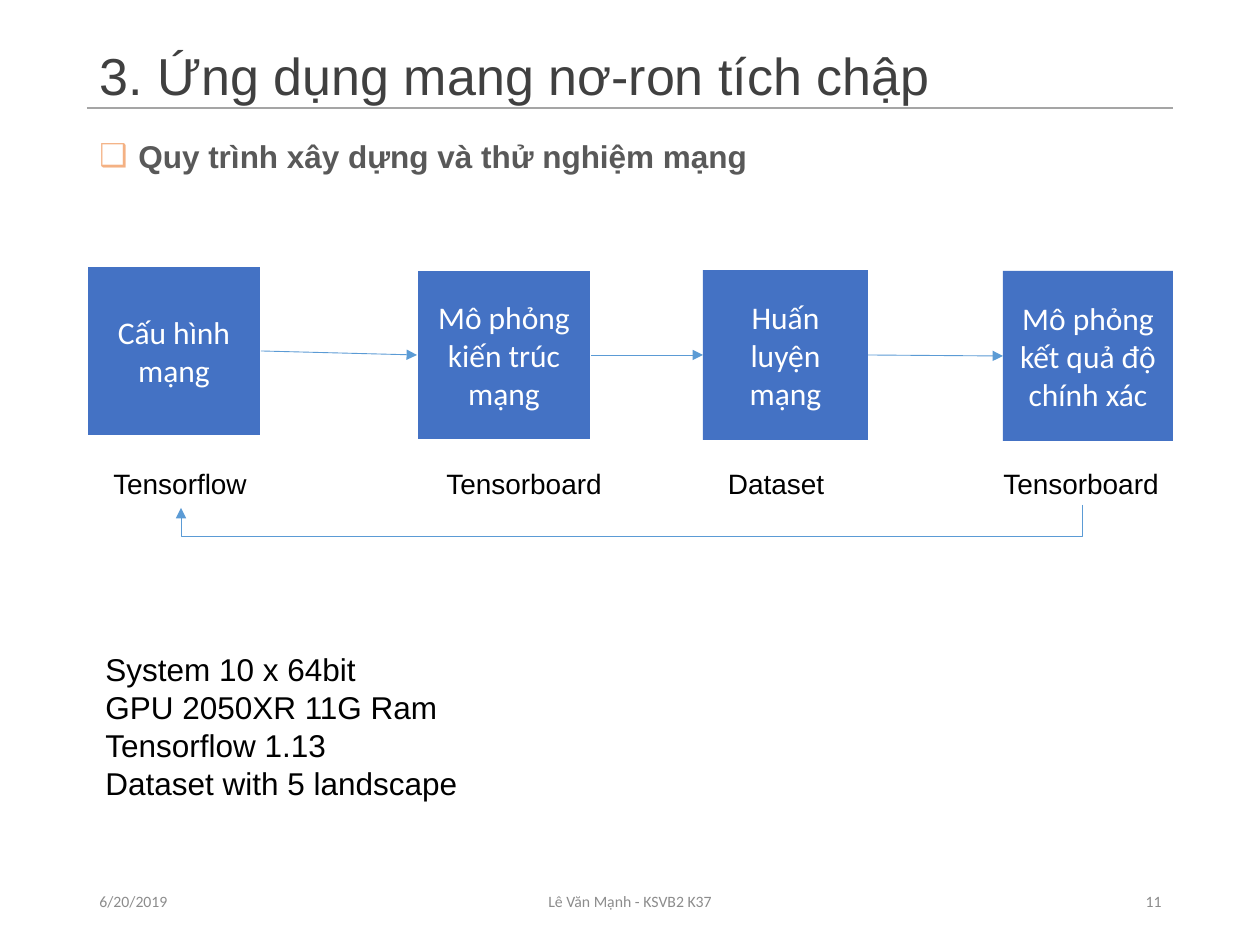
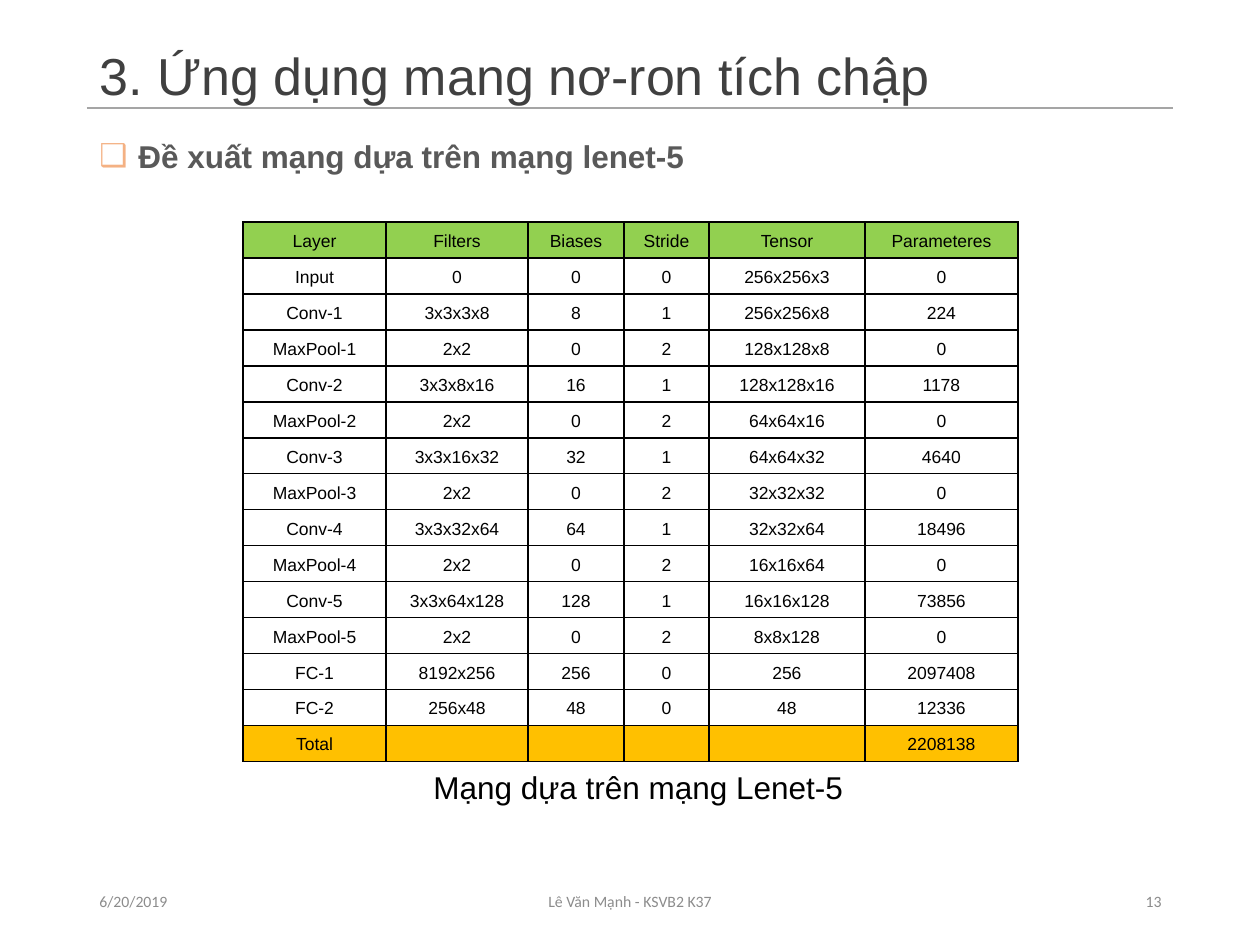
import pptx
import pptx.util
import pptx.dml.color
import pptx.enum.shapes
import pptx.enum.text
import pptx.oxml
import pptx.oxml.ns
from lxml import etree

EMU_PER_PX = 914400 / 126
COLORS = {
    "title": "404040", "rule": "A5A5A5", "footer": "8C8C8C",
    "heading": "595959", "bullet": "F4B183", "step": "4472C4",
    "arrow": "5B9BD5", "white": "FFFFFF", "black": "000000",
    "header_row": "92D050", "total_row": "FFC000",
}
TITLE = "3. Ứng dụng mang nơ-ron tích chập"
DATE = "6/20/2019"
AUTHOR = "Lê Văn Mạnh - KSVB2 K37"

ALIGN = pptx.enum.text.PP_ALIGN
MIDDLE = pptx.enum.text.MSO_ANCHOR.MIDDLE
CONNECTOR = pptx.enum.shapes.MSO_CONNECTOR
qn = pptx.oxml.ns.qn

# text, left, top, width, outlined
STEPS = [
    ("Cấu hình mạng", 87, 266, 174, True),
    ("Mô phỏng kiến trúc mạng", 417, 270, 174, True),
    ("Huấn luyện mạng", 703, 270, 165, False),
    ("Mô phỏng kết quả độ chính xác", 1003, 271, 170, False),
]
STEP_HEIGHT = 170
# text, left, width
TOOLS = [
    ("Tensorflow", 93, 174),
    ("Tensorboard", 432, 184),
    ("Dataset", 684, 184),
    ("Tensorboard", 989, 184),
]
ENVIRONMENT = [
    "System 10 x 64bit",
    "GPU 2050XR 11G Ram",
    "Tensorflow 1.13",
    "Dataset with 5 landscape",
]
COLUMN_WIDTHS = [143, 142, 96, 85, 156, 153]
LAYERS = [
    ("Layer", "Filters", "Biases", "Stride", "Tensor", "Parameteres"),
    ("Input", "0", "0", "0", "256x256x3", "0"),
    ("Conv-1", "3x3x3x8", "8", "1", "256x256x8", "224"),
    ("MaxPool-1", "2x2", "0", "2", "128x128x8", "0"),
    ("Conv-2", "3x3x8x16", "16", "1", "128x128x16", "1178"),
    ("MaxPool-2", "2x2", "0", "2", "64x64x16", "0"),
    ("Conv-3", "3x3x16x32", "32", "1", "64x64x32", "4640"),
    ("MaxPool-3", "2x2", "0", "2", "32x32x32", "0"),
    ("Conv-4", "3x3x32x64", "64", "1", "32x32x64", "18496"),
    ("MaxPool-4", "2x2", "0", "2", "16x16x64", "0"),
    ("Conv-5", "3x3x64x128", "128", "1", "16x16x128", "73856"),
    ("MaxPool-5", "2x2", "0", "2", "8x8x128", "0"),
    ("FC-1", "8192x256", "256", "0", "256", "2097408"),
    ("FC-2", "256x48", "48", "0", "48", "12336"),
    ("Total", "", "", "", "", "2208138"),
]


def px(length):
    return pptx.util.Emu(round(length * EMU_PER_PX))


def rgb(name):
    return pptx.dml.color.RGBColor.from_string(COLORS[name])


def add_span(para, text, size, color, font="Arial", bold=False):
    span = para.add_run()
    span.text = text
    span.font.name = font
    span.font.size = pptx.util.Pt(size)
    span.font.bold = bold
    span.font.color.rgb = rgb(color)


def add_text(page, area, lines, size, color, font="Arial", bold=False,
             align=ALIGN.LEFT, anchor=pptx.enum.text.MSO_ANCHOR.TOP, wrap=True):
    """Add a text box with one paragraph for each line; return its paragraphs."""
    frame = page.shapes.add_textbox(*map(px, area)).text_frame
    frame.word_wrap = wrap
    frame.vertical_anchor = anchor
    if not wrap:
        frame.auto_size = pptx.enum.text.MSO_AUTO_SIZE.SHAPE_TO_FIT_TEXT
    for index, line in enumerate(lines):
        para = frame.add_paragraph() if index else frame.paragraphs[0]
        para.alignment = align
        add_span(para, line, size, color, font, bold)
    return frame.paragraphs


def add_line(page, kind, start, end, color, width, arrow=False):
    line = page.shapes.add_connector(kind, *map(px, start + end))
    line.line.color.rgb = rgb(color)
    line.line.width = pptx.util.Pt(width)
    if arrow:
        etree.SubElement(line.line._get_or_add_ln(), qn("a:tailEnd"), type="triangle")
    etree.SubElement(line._element.spPr, qn("a:effectLst"))
    return line


def add_heading(page, text, width):
    para = add_text(page, (87, 131, width, 50), [text], 18, "heading",
                    bold=True, wrap=False)[0]
    properties = para._p.get_or_add_pPr()
    properties.set("marL", str(px(39)))
    properties.set("indent", str(-px(39)))
    bullet_color = etree.SubElement(properties, qn("a:buClr"))
    etree.SubElement(bullet_color, qn("a:srgbClr"), val=COLORS["bullet"])
    etree.SubElement(properties, qn("a:buFont"), typeface="Arial")
    etree.SubElement(properties, qn("a:buChar"), char="❑")


def add_page(deck, number, heading, heading_width):
    page = deck.slides.add_slide(deck.slide_layouts[6])
    title = add_text(page, (87, 50, 1086, 58), [TITLE], 29.7, "title", anchor=MIDDLE)
    title[0].line_spacing = 0.9
    add_line(page, CONNECTOR.STRAIGHT, (87, 108), (1173, 108), "rule", 1)
    for text, left, width, align in [(DATE, 87, 284, ALIGN.LEFT),
                                     (AUTHOR, 417, 426, ALIGN.CENTER),
                                     (number, 890, 284, ALIGN.RIGHT)]:
        add_text(page, (left, 876, width, 50), [text], 9, "footer", "Calibri",
                 align=align, anchor=MIDDLE)
    add_heading(page, heading, heading_width)
    return page


def add_step(page, text, left, top, width, outlined):
    box = page.shapes.add_shape(pptx.enum.shapes.MSO_SHAPE.RECTANGLE,
                                *map(px, (left, top, width, STEP_HEIGHT)))
    box.shadow.inherit = False
    box.fill.solid()
    box.fill.fore_color.rgb = rgb("step")
    if outlined:
        box.line.color.rgb = rgb("white")
        box.line.width = pptx.util.Pt(1.5)
    else:
        box.line.fill.background()
    box.text_frame.word_wrap = True
    box.text_frame.vertical_anchor = MIDDLE
    para = box.text_frame.paragraphs[0]
    para.alignment = ALIGN.CENTER
    add_span(para, text, 18, "white", "Calibri")
    return box


def add_return_arrow(page, start, end, low):
    """Run down from start to the height low, across, and up to end."""
    width, height = end[1] - start[1], start[0] - end[0]
    left = (start[0] + end[0] - width) / 2
    top = (start[1] + end[1] - height) / 2
    arrow = add_line(page, CONNECTOR.ELBOW, (left, top), (left + width, top + height),
                     "arrow", 0.5, arrow=True)
    properties = arrow._element.spPr
    properties.find(qn("a:xfrm")).set("rot", str(90 * 60000))
    adjustments = properties.find(qn("a:prstGeom")).find(qn("a:avLst"))
    bend = round((low - start[1]) / width * 100000)
    etree.SubElement(adjustments, qn("a:gd"), name="adj1", fmla=f"val {bend}")


def fill_cell(cell, text, fill):
    cell.margin_left = cell.margin_right = px(9)
    cell.margin_top = cell.margin_bottom = 0
    cell.vertical_anchor = MIDDLE
    properties = cell._tc.get_or_add_tcPr()
    for side in ("a:lnL", "a:lnR", "a:lnT", "a:lnB"):
        border = etree.SubElement(properties, qn(side), w=str(pptx.util.Pt(1)))
        paint = etree.SubElement(border, qn("a:solidFill"))
        etree.SubElement(paint, qn("a:srgbClr"), val=COLORS["black"])
    if fill:
        cell.fill.solid()
        cell.fill.fore_color.rgb = rgb(fill)
    else:
        cell.fill.background()
    para = cell.text_frame.paragraphs[0]
    para.alignment = ALIGN.CENTER
    para.line_spacing = 1.15
    if text:
        add_span(para, text, 10, "black")
    else:
        etree.SubElement(para._p, qn("a:endParaRPr"), sz="1000")


def add_layer_table(page, left, top, row_height):
    table = page.shapes.add_table(
        len(LAYERS), len(COLUMN_WIDTHS), px(left), px(top),
        px(sum(COLUMN_WIDTHS)), px(row_height * len(LAYERS))).table
    table.first_row = table.horz_banding = False
    for column, width in zip(table.columns, COLUMN_WIDTHS):
        column.width = px(width)
    fills = {0: "header_row", len(LAYERS) - 1: "total_row"}
    for index, (row, values) in enumerate(zip(table.rows, LAYERS)):
        row.height = px(row_height)
        for cell, text in zip(row.cells, values):
            fill_cell(cell, text, fills.get(index))


def build_process_page(deck):
    page = add_page(deck, "11", "Quy trình xây dựng và thử nghiệm mạng", 680)
    boxes = [add_step(page, *step) for step in STEPS]
    for text, left, width in TOOLS:
        add_text(page, (left, 460, width, 47), [text], 16, "black", align=ALIGN.CENTER)
    for box, following in zip(boxes, boxes[1:]):
        arrow = add_line(page, CONNECTOR.STRAIGHT, (0, 0), (0, 0), "arrow", 0.5, arrow=True)
        arrow.begin_connect(box, 3)
        arrow.end_connect(following, 1)
    add_return_arrow(page, (1082, 505), (181, 508), 537)
    add_text(page, (93, 644, 1081, 165), ENVIRONMENT, 18, "black")


def build_layers_page(deck):
    page = add_page(deck, "13", "Đề xuất mạng dựa trên mạng lenet-5", 616)
    add_layer_table(page, 243, 222, 36)
    add_text(page, (421, 762, 438, 50), ["Mạng dựa trên mạng Lenet-5"], 18, "black",
             wrap=False)


def main():
    deck = pptx.Presentation()
    deck.slide_width, deck.slide_height = px(1260), px(945)
    build_process_page(deck)
    build_layers_page(deck)
    deck.save("out.pptx")


if __name__ == "__main__":
    main()
